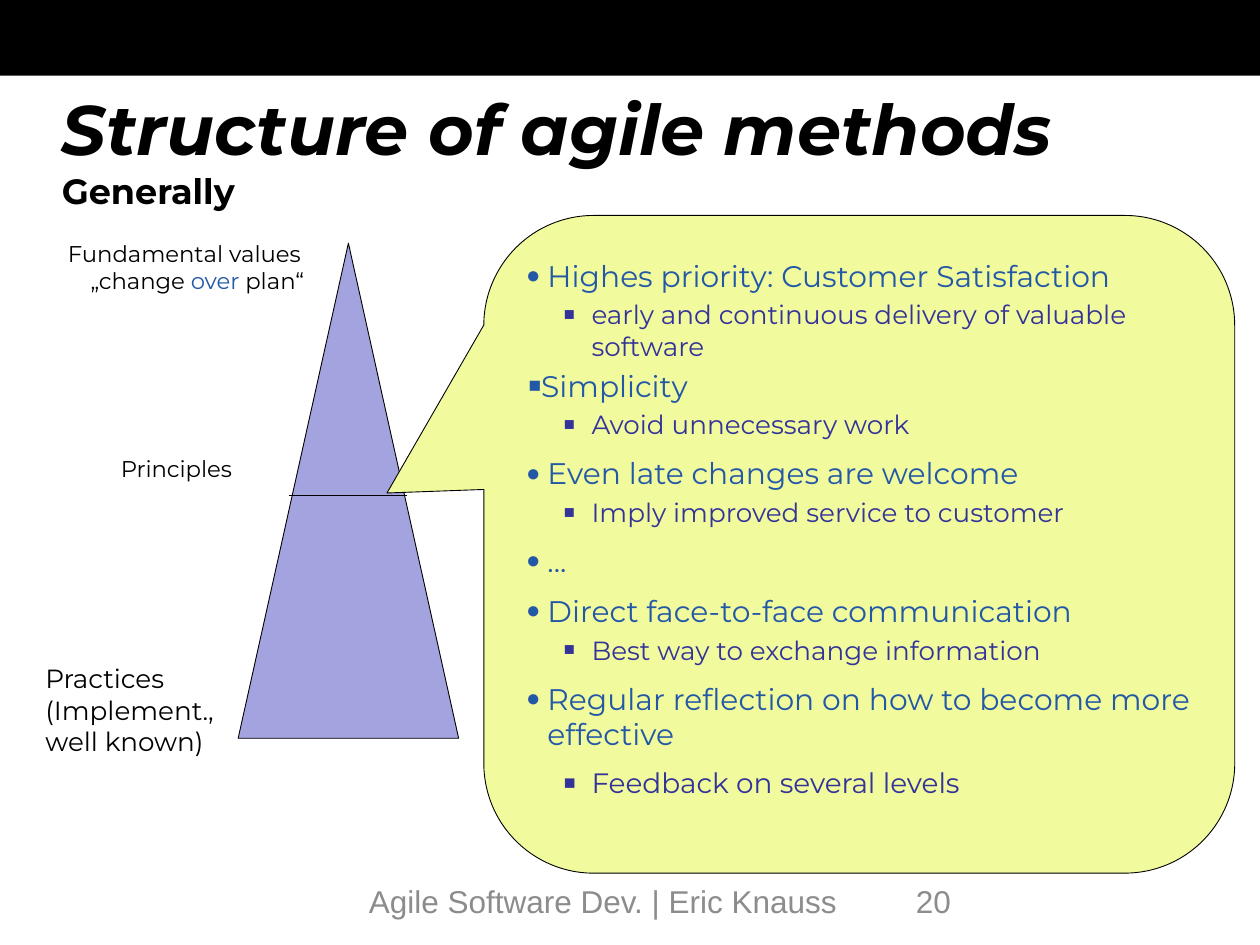
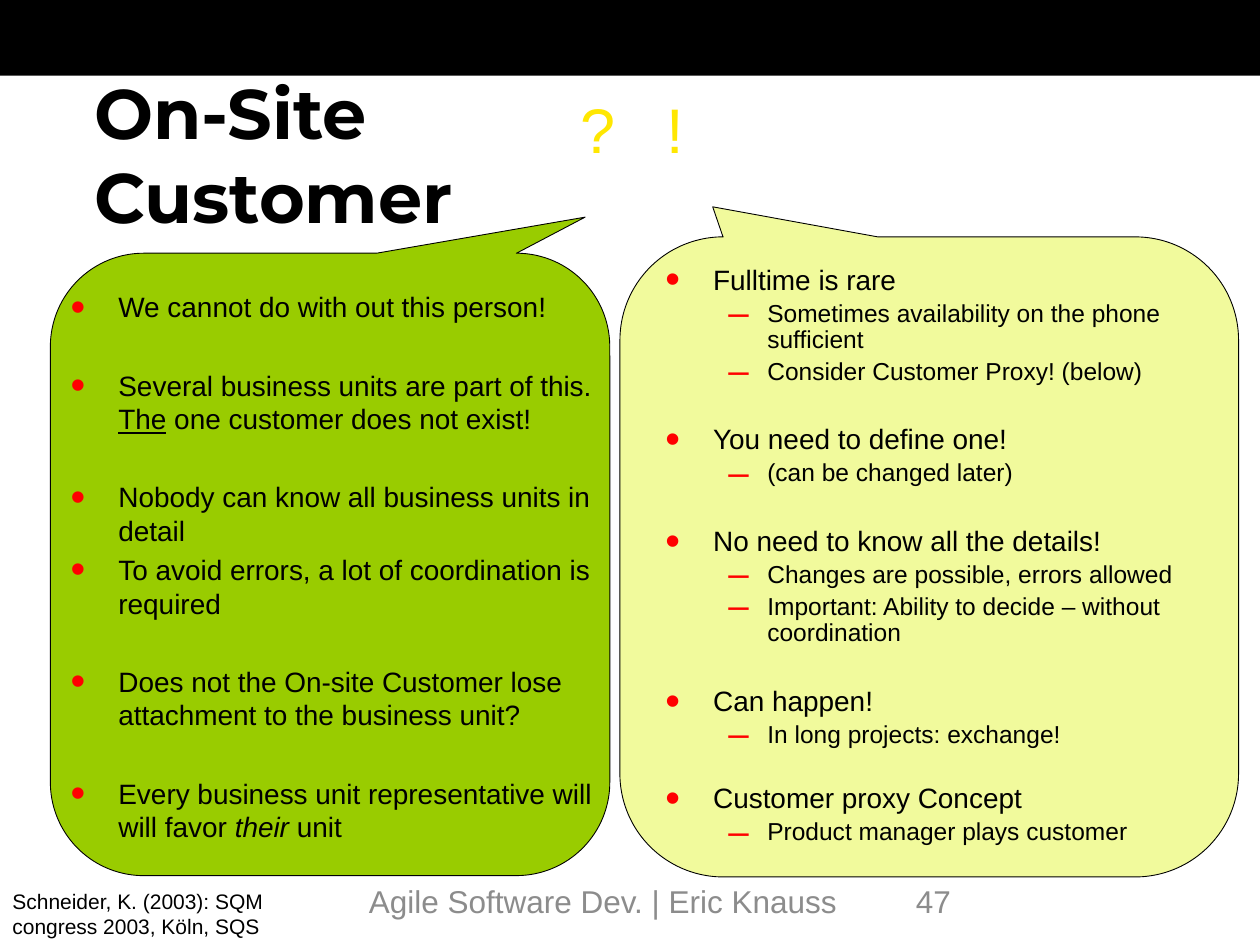
from dataclasses import dataclass

from lxml.etree import SubElement
from pptx import Presentation
from pptx.dml.color import RGBColor
from pptx.enum.shapes import MSO_CONNECTOR, MSO_SHAPE
from pptx.enum.text import MSO_ANCHOR, MSO_AUTO_SIZE, PP_ALIGN
from pptx.oxml.ns import qn
from pptx.util import Inches, Pt


@dataclass(frozen=True)
class Theme:
    heading_font: str = "Montserrat"
    text_font: str = "Arial"
    black: str = "000000"
    footer_gray: str = "8C8C8C"
    link_blue: str = "2358A7"
    indigo: str = "333399"
    lavender: str = "A3A3E0"
    pale_yellow: str = "F1FA9C"
    green: str = "99CC00"
    red: str = "FF0000"
    mark_gradient: tuple = ("FFE701", "FE3E02")
    title_size: int = 40
    subtitle_size: int = 20
    mark_size: int = 36
    footer_size: int = 18
    point_size: int = 17
    body_size: int = 16
    detail_size: int = 15
    subpoint_size: int = 14
    label_size: int = 13
    source_size: int = 12
    hairline: float = 0.5


T = Theme()


@dataclass(frozen=True)
class Bullet:
    char: str
    percent: int
    left: float
    indent: float
    size: int
    color: str
    font: str
    level: int = 0
    bullet_color: str = ""
    line_spacing: float = 1.0


def callout_bullet(char, percent, left, indent, size, color, level=0):
    return Bullet(char, percent, left, indent, size, color, T.heading_font, level)


def body_bullet(char, left, indent, size, level=0, line_spacing=1.0):
    return Bullet(char, 150, left, indent, size, T.black, T.text_font, level,
                  T.red, line_spacing)


POINT = callout_bullet("●", 80, 0.17, -0.17, T.point_size, T.link_blue)
SQUARE_POINT = callout_bullet("■", 70, 0.02, 0, T.point_size, T.link_blue)
DETAIL = callout_bullet("■", 70, 0.52, -0.22, T.detail_size, T.indigo, 1)
LAST_DETAIL = callout_bullet("■", 70, 0.52, -0.22, T.body_size, T.indigo, 1)
QUESTION = body_bullet("•", 0.38, -0.38, T.body_size)
ANSWER = body_bullet("•", 0.38, -0.38, T.body_size, line_spacing=0.9)
SUBANSWER = body_bullet("–", 0.81, -0.31, T.subpoint_size, 1, 0.9)

# Each entry: bullet style, space before in points, text or runs
PRINCIPLES = [
    (POINT, 0, "Highes priority: Customer Satisfaction"),
    (DETAIL, 3, "early and continuous delivery of valuable software"),
    (SQUARE_POINT, 3.4, "Simplicity"),
    (DETAIL, 3, "Avoid unnecessary work"),
    (POINT, 8.5, "Even late changes are welcome"),
    (DETAIL, 3, "Imply improved service to customer"),
    (POINT, 8.5, "..."),
    (POINT, 8.5, "Direct face-to-face communication"),
    (DETAIL, 3, "Best way to exchange information"),
    (POINT, 8.5, "Regular reflection on how to become more effective"),
    (LAST_DETAIL, 8, "Feedback on several levels"),
]
QUESTIONS = [
    (QUESTION, 0, "We cannot do with out this person!"),
    (QUESTION, 25.5, [("Several business units are part of this. ", {}),
                      ("The", {"underline": True}),
                      (" one customer does not exist!", {})]),
    (QUESTION, 25.5, "Nobody can know all business units in detail"),
    (QUESTION, 3.2, "To avoid errors, a lot of coordination is required"),
    (QUESTION, 25.5, "Does not the On-site Customer lose attachment to the business unit?"),
    (QUESTION, 25.5, [("Every business unit representative will will favor ", {}),
                      ("their", {"italic": True}), (" unit", {})]),
]
ANSWERS = [
    (ANSWER, 0, "Fulltime is rare"),
    (SUBANSWER, 2.8, "Sometimes availability on the phone sufficient"),
    (SUBANSWER, 2.8, "Consider Customer Proxy! (below)"),
    (ANSWER, 23, "You need to define one!"),
    (SUBANSWER, 2.8, "(can be changed later)"),
    (ANSWER, 23, "No need to know all the details!"),
    (SUBANSWER, 2.8, "Changes are possible, errors allowed"),
    (SUBANSWER, 2.8, "Important: Ability to decide – without coordination"),
    (ANSWER, 23, "Can happen!"),
    (SUBANSWER, 2.8, "In long projects: exchange!"),
    (ANSWER, 20.4, "Customer proxy Concept"),
    (SUBANSWER, 2.8, "Product manager plays customer"),
]


def rgb(color):
    return RGBColor.from_string(color)


def inches(box):
    return [Inches(v) for v in box]


def add_runs(p, runs, size, color, font):
    """Add a string or (text, changes) runs; a newline becomes a line break."""
    if isinstance(runs, str):
        runs = [(runs, {})]
    for text, changes in runs:
        for i, line in enumerate(text.split("\n")):
            if i:
                p.add_line_break()
            if not line:
                continue
            r = p.add_run()
            r.text = line
            r.font.name = font
            r.font.size = Pt(changes.get("size", size))
            r.font.color.rgb = rgb(changes.get("color", color))
            for name in ("bold", "italic", "underline"):
                if name in changes:
                    setattr(r.font, name, changes[name])


def set_frame(tf, margins=(0.08, 0.04), anchor=MSO_ANCHOR.TOP):
    tf.word_wrap = True
    tf.auto_size = MSO_AUTO_SIZE.NONE
    tf.vertical_anchor = anchor
    tf.margin_left = tf.margin_right = Inches(margins[0])
    tf.margin_top = tf.margin_bottom = Inches(margins[1])


def add_text(s, box, lines, size, color=T.black, font=T.text_font, **frame):
    tf = s.shapes.add_textbox(*inches(box)).text_frame
    set_frame(tf, **frame)
    for i, runs in enumerate(lines):
        p = tf.add_paragraph() if i else tf.paragraphs[0]
        add_runs(p, runs, size, color, font)
    return tf


def add_bullet(p, style):
    pPr = p._p.get_or_add_pPr()
    pPr.set("marL", str(Inches(style.left)))
    pPr.set("indent", str(Inches(style.indent)))
    if style.bullet_color:
        SubElement(SubElement(pPr, qn("a:buClr")), qn("a:srgbClr"), val=style.bullet_color)
    SubElement(pPr, qn("a:buSzPct"), val=str(style.percent * 1000))
    SubElement(pPr, qn("a:buFont"), typeface=T.text_font)
    SubElement(pPr, qn("a:buChar"), char=style.char)


def fill_list(tf, entries):
    for i, (style, before, runs) in enumerate(entries):
        p = tf.add_paragraph() if i else tf.paragraphs[0]
        p.level = style.level
        add_bullet(p, style)
        p.alignment = PP_ALIGN.LEFT
        p.space_before = Pt(before)
        p.line_spacing = style.line_spacing
        add_runs(p, runs, style.size, style.color, style.font)


def add_filled_shape(s, kind, box, fill, outlined=True):
    sp = s.shapes.add_shape(kind, *inches(box))
    sp.shadow.inherit = False
    sp.fill.solid()
    sp.fill.fore_color.rgb = rgb(fill)
    if outlined:
        sp.line.color.rgb = rgb(T.black)
        sp.line.width = Pt(T.hairline)
    else:
        sp.line.fill.background()
    return sp


def add_callout(s, box, tip, fill):
    sp = add_filled_shape(s, MSO_SHAPE.ROUNDED_RECTANGULAR_CALLOUT, box, fill)
    for i, value in enumerate((*tip, 0.167)):
        sp.adjustments[i] = value
    return sp


def place_placeholder(ph, box):
    """Position a placeholder and bring it in front of the shapes drawn so far."""
    ph.left, ph.top, ph.width, ph.height = inches(box)
    ph.element.getparent().append(ph.element)
    return ph.text_frame


def set_title(s, box, runs, margins):
    tf = place_placeholder(s.shapes.title, box)
    set_frame(tf, margins)
    tf.paragraphs[0].alignment = PP_ALIGN.LEFT
    add_runs(tf.paragraphs[0], runs, T.title_size, T.black, T.heading_font)


def add_master_band(prs, s):
    """Draw the top band and hand it over to the slide master."""
    band = add_filled_shape(s, MSO_SHAPE.RECTANGLE, (0, 0, 10, 0.6), T.black, False)
    prs.slide_master.shapes.element.insert(2, band.element)


def add_footer(s, number):
    for left, width, text in ((2.83, 4.33, "Agile Software Dev. | Eric Knauss"),
                              (7.17, 2.33, number)):
        add_text(s, (left, 6.95, width, 0.4), [text], T.footer_size, T.footer_gray,
                 margins=(0.1, 0.05), anchor=MSO_ANCHOR.MIDDLE)


def add_pyramid(s, box):
    x, y, w, h = box
    add_filled_shape(s, MSO_SHAPE.ISOSCELES_TRIANGLE,
                     (x + w - 1.75, y + 0.07, 1.75, 3.93), T.lavender)
    values = add_text(s, (x + 0.18, y, 2.3, 0.52),
                      ["Fundamental values",
                       [("„change ", {}), ("over", {"color": T.link_blue}), (" plan“", {})]],
                      T.label_size, font=T.heading_font)
    values.paragraphs[1]._p.get_or_add_pPr().set("marL", str(Inches(0.18)))
    add_text(s, (x + 0.6, y + 1.71, 1.16, 0.3), ["Principles"],
             T.label_size, font=T.heading_font)
    add_text(s, (x, y + h - 0.84, 1.62, 0.84), ["Practices", "(Implement.,\nwell known)"],
             T.detail_size, font=T.heading_font)
    divider = s.shapes.add_connector(MSO_CONNECTOR.STRAIGHT, *inches(
        (x + 2.01, y + 2.07, x + 2.95, y + 2.07)))
    divider.line.color.rgb = rgb(T.black)
    divider.line.width = Pt(T.hairline)
    SubElement(divider.element.spPr, qn("a:effectLst"))


def add_principles_callout(s, box):
    tf = add_callout(s, box, (-0.629, -0.078), T.pale_yellow).text_frame
    set_frame(tf, anchor=MSO_ANCHOR.MIDDLE)
    tf.margin_bottom = Inches(0.29)
    fill_list(tf, PRINCIPLES)


def add_opinion(s, ph, box, tip, fill, text_box, entries):
    """Draw a callout with a body list; text_box is relative to the callout."""
    add_callout(s, box, tip, fill)
    dx, dy, w, h = text_box
    tf = place_placeholder(ph, (box[0] + dx, box[1] + dy, w, h))
    set_frame(tf)
    fill_list(tf, entries)


def add_mark(s, box, mark):
    tf = add_text(s, box, [mark], T.mark_size, margins=(0.1, 0.05))
    fill = tf.paragraphs[0].runs[0].font.fill
    fill.gradient()
    fill.gradient_angle = 270
    for stop, color in zip(fill.gradient_stops, T.mark_gradient):
        stop.color.rgb = rgb(color)


def build_structure_slide(s):
    set_title(s, (0.39, 0.63, 8.5, 1.25),
              [("Structure of agile methods\n", {"bold": True, "italic": True}),
               ("Generally", {"bold": True, "italic": False, "size": T.subtitle_size})],
              (0.1, 0.05))
    add_pyramid(s, (0.28, 1.86, 3.36, 4.2))
    add_principles_callout(s, (3.84, 1.71, 5.96, 5.22))
    add_footer(s, "20")


def build_customer_slide(s):
    questions, answers = s.placeholders[1], s.placeholders[2]
    add_opinion(s, answers, (4.92, 1.88, 4.91, 5.08), (-0.35, -0.547), T.pale_yellow,
                (0.28, 0.19, 4.7, 5.05), ANSWERS)
    add_opinion(s, questions, (0.4, 2.01, 4.44, 4.94), (0.456, -0.558), T.green,
                (0.08, 0.25, 4.33, 4.67), QUESTIONS)
    set_title(s, (0.67, 0.51, 9.33, 0.83), [("On-Site\nCustomer", {"bold": True})],
              (0.08, 0.04))
    add_mark(s, (4.51, 0.67, 0.51, 0.81), "?")
    add_mark(s, (5.19, 0.67, 0.4, 0.81), "!")
    add_text(s, (0, 7, 2.71, 0.5), ["Schneider, K. (2003): SQM congress 2003, Köln, SQS"],
             T.source_size, margins=(0.1, 0.05))
    add_footer(s, "47")


def main():
    prs = Presentation()
    prs.slide_width, prs.slide_height = Inches(10), Inches(7.5)
    title_only, two_content = prs.slide_layouts[5], prs.slide_layouts[3]
    structure = prs.slides.add_slide(title_only)
    add_master_band(prs, structure)
    build_structure_slide(structure)
    build_customer_slide(prs.slides.add_slide(two_content))
    prs.save("out.pptx")


if __name__ == "__main__":
    main()
